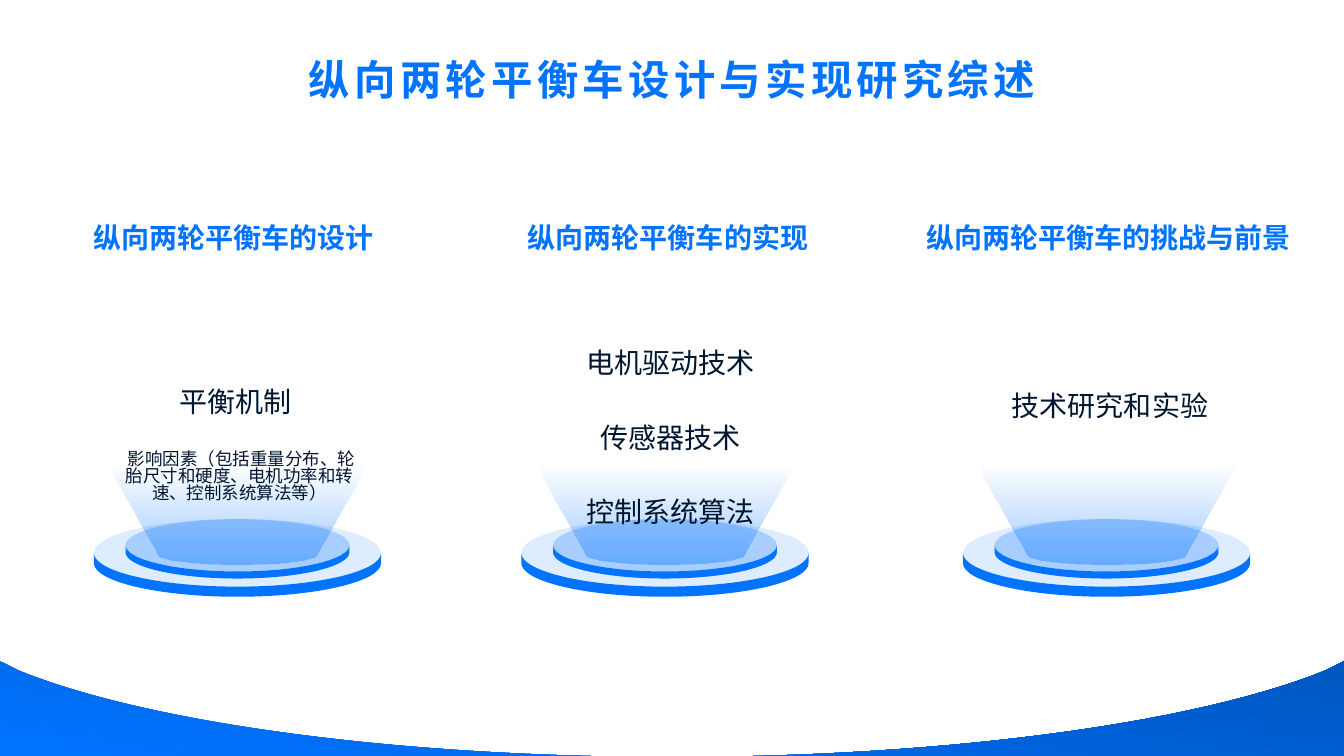
from lxml import etree
from pptx import Presentation
from pptx import util as u
from pptx.dml.color import RGBColor
from pptx.enum import shapes, text
from pptx.oxml.ns import qn

COLORS = {"blue": "0073FF", "deep": "0056BF", "ink": "001630"}
WIDTH, HEIGHT = 13.33, 7.5
HEADING = {"size": 20, "name": "Noto Sans CJK SC", "color": "blue", "bold": True}
TITLE = {**HEADING, "size": 29.6}
ITEM = {"size": 20, "name": "Roboto", "color": "ink", "bold": False}
DETAIL = {**ITEM, "size": 12.5}
PODIUM_WIDTH, PODIUM_TOP = 2.85, 5.15
ITEM_SIZE = (2.53, 0.71)
ARC_HANDLE = 0.55
COLUMNS = [
    (0.93, "纵向两轮平衡车的设计", 0.32, [
        (" 影响因素（包括重量分布、轮胎尺寸和硬度、电机功率和转速、控制系统算法等）",
         1.11, 4.38, DETAIL, 0.8),
        (" 平衡机制", 1.04, 3.63, ITEM, None)]),
    (5.17, "纵向两轮平衡车的实现", 4.63, [
        (name, 5.35, 4.72 - 0.74 * step, ITEM, None)
        for step, name in enumerate([" 控制系统算法", " 传感器技术", " 电机驱动技术"])]),
    (9.55, "纵向两轮平衡车的挑战与前景", 9, [
        (" 技术研究和实验", 9.71, 3.67, ITEM, None)]),
]


def paint(shape, stops, angle=None):
    fill = shape.fill
    if angle is None:
        fill.solid()
        fill.fore_color.rgb = RGBColor.from_string(COLORS[stops[0][1]])
    else:
        fill.gradient()
        fill.gradient_angle = angle
        for stop, (position, color, _) in zip(fill.gradient_stops, stops):
            stop.position = position
            stop.color.rgb = RGBColor.from_string(COLORS[color])
    for tint, (_, _, opacity) in zip(list(shape.element.iter(qn("a:srgbClr"))), stops):
        if opacity < 100:
            etree.SubElement(tint, qn("a:alpha"), val=str(opacity * 1000))
    shape.line.fill.background()
    shape.shadow.inherit = False


def outline(parent, contours):
    builder = None
    for contour in contours:
        start, *rest = [(u.Inches(x), u.Inches(y)) for segment in contour for x, y in segment]
        if builder is None:
            builder = parent.build_freeform(*start)
        else:
            builder.move_to(*start)
        builder.add_line_segments(rest, close=False)
    shape = builder.convert_to_shape()
    lines = iter(list(shape.element.iter(qn("a:lnTo"))))
    for contour in contours:
        for segment in contour[1:]:
            handles = [next(lines) for _ in segment]
            if len(handles) == 3:
                curve = etree.Element(qn("a:cubicBezTo"))
                handles[0].addprevious(curve)
                for handle in handles:
                    curve.append(handle[0])
                    handle.getparent().remove(handle)
    return shape


def lower_arc(center, top, radius, depth):
    bottom = top + depth
    reach, drop = radius * ARC_HANDLE, top + depth * ARC_HANDLE
    return [
        [(center + radius, top)],
        [(center + radius, drop), (center + reach, bottom), (center, bottom)],
        [(center - reach, bottom), (center - radius, drop), (center - radius, top)],
    ]


def draw_wave(slide):
    left = [
        [(0, 6.56)],
        [(0.18, 6.65)],
        [(1.43, 7.16), (3.87, 7.51), (WIDTH / 2, 7.51)],
        [(0, 7.51)],
        [(0, 6.56)],
    ]
    right = [[(WIDTH - x, y) for x, y in segment] for segment in left]
    paint(outline(slide.shapes, [right, left]),
          [(0.04, "blue", 100), (1, "deep", 100)], 80)


def draw_podium(slide, left):
    parts = slide.shapes.add_group_shape().shapes
    center = left + PODIUM_WIDTH / 2

    def draw_disc(width, height):
        disc = parts.add_shape(shapes.MSO_SHAPE.OVAL, *map(
            u.Inches, (center - width / 2, PODIUM_TOP, width, height)))
        paint(disc, [(0, "blue", 13)])

    for width, height, rim in [(PODIUM_WIDTH, 0.67, 0.1), (2.22, 0.52, 0.07)]:
        draw_disc(width, height)
        middle = PODIUM_TOP + height / 2
        edge = lower_arc(center, middle, width / 2, height / 2)
        base = lower_arc(center, middle + rim, -width / 2, height / 2)
        paint(outline(parts, [edge + base]), [(0, "blue", 100)])
    beam = [[(center - 1.285, 4.61)], [(center + 1.285, 4.61)]]
    beam += lower_arc(center, 5.5, 0.785, 0.1)
    paint(outline(parts, [beam]), [(0, "blue", 0), (1, "blue", 39)], 270)
    draw_disc(width, height)


def write(slide, box, words, style, line_spacing=None, tracking=None):
    frame = slide.shapes.add_textbox(*map(u.Inches, box)).text_frame
    frame.word_wrap = True
    frame.vertical_anchor = text.MSO_ANCHOR.MIDDLE
    paragraph = frame.paragraphs[0]
    paragraph.alignment = text.PP_ALIGN.CENTER
    paragraph.line_spacing = line_spacing
    run = paragraph.add_run()
    run.text = words
    formats = {"size": u.Pt(style["size"]), "name": style["name"], "bold": style["bold"]}
    for key, value in formats.items():
        setattr(run.font, key, value)
    run.font.color.rgb = RGBColor.from_string(COLORS[style["color"]])
    properties = run.font._element
    etree.SubElement(properties, qn("a:ea"), typeface=style["name"])
    if tracking:
        properties.set("spc", str(tracking * 100))


def draw_column(slide, left, heading, heading_left, items):
    draw_podium(slide, left)
    for words, item_left, top, style, spacing in items:
        write(slide, (item_left, top, *ITEM_SIZE), words, style, spacing)
    write(slide, (heading_left, 2.07, 3.99, 0.57), heading, HEADING)


def main():
    deck = Presentation()
    deck.slide_width, deck.slide_height = u.Inches(WIDTH), u.Inches(HEIGHT)
    slide = deck.slides.add_slide(deck.slide_layouts[6])
    draw_wave(slide)
    write(slide, (1.5, 0.44, 10.34, 0.64), "纵向两轮平衡车设计与实现研究综述", TITLE, 1.1, 3)
    for column in COLUMNS:
        draw_column(slide, *column)
    deck.save("out.pptx")


if __name__ == "__main__":
    main()
